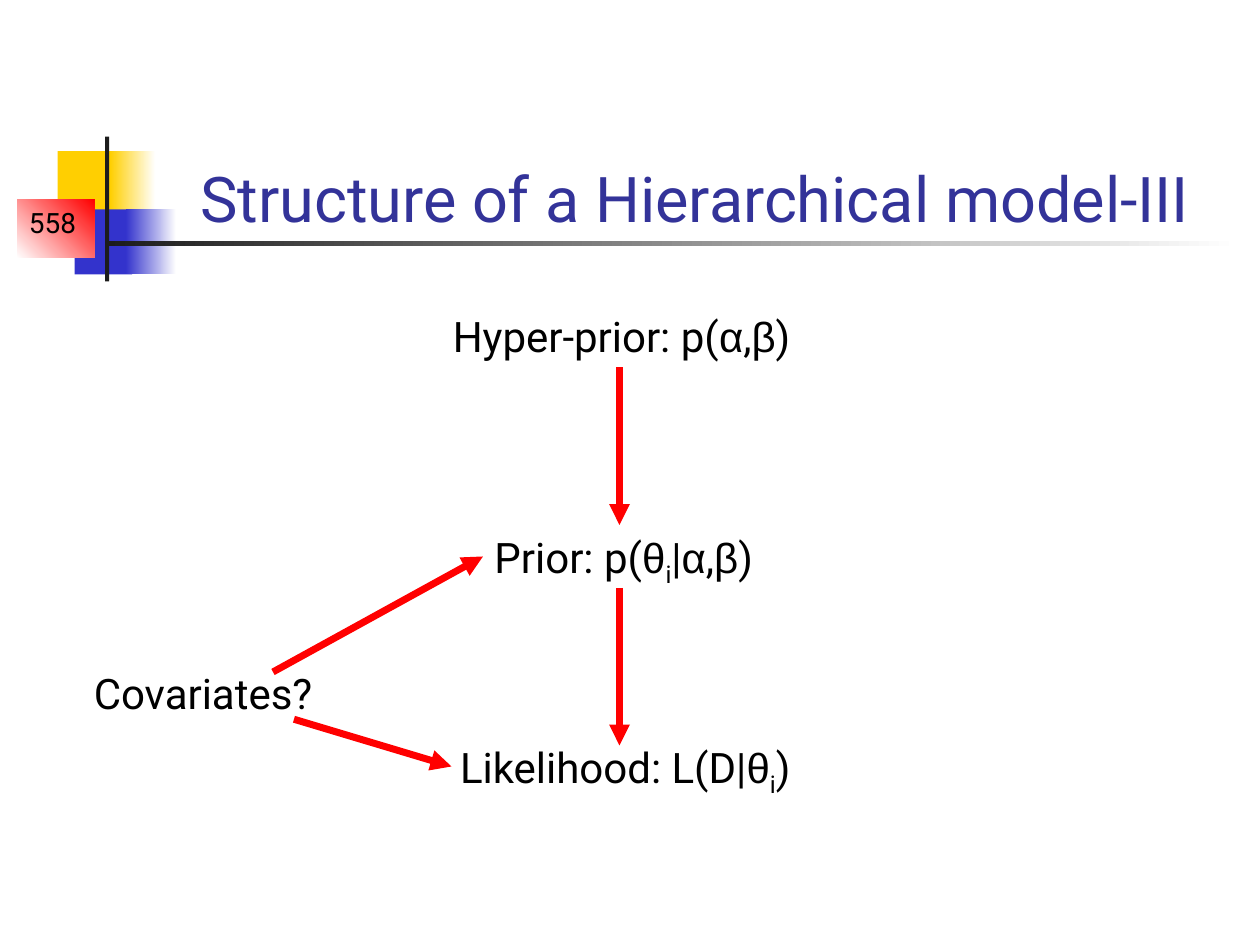
import dataclasses
import typing

import lxml.etree
import pptx
import pptx.dml.color
import pptx.enum.shapes
import pptx.enum.text
import pptx.oxml.ns
import pptx.util

# Grid of 120 columns by 90 rows
WIDE, HIGH = pptx.util.Inches(10), pptx.util.Inches(7.5)
COLS, ROWS = 120, 90
GREEK = "αβθ"
SUB = "i"


@dataclasses.dataclass
class Block:
    x: float
    y: float
    w: float
    h: float
    color: str
    fade: typing.Optional[str] = None
    angle: float = 0


@dataclasses.dataclass
class Label:
    x: float
    y: float
    w: float
    h: float
    words: tuple[str, ...]
    size: float = 24
    color: str = "000000"
    wrap: bool = False
    low: bool = False


@dataclasses.dataclass
class Arrow:
    x1: float
    y1: float
    x2: float
    y2: float


def col(n: float) -> int:
    return round(WIDE * n / COLS)


def row(n: float) -> int:
    return round(HIGH * n / ROWS)


def rgb(code: str) -> pptx.dml.color.RGBColor:
    return pptx.dml.color.RGBColor.from_string(code)


def draw_block(slide, b: Block) -> None:
    shape = slide.shapes.add_shape(
        pptx.enum.shapes.MSO_SHAPE.RECTANGLE, col(b.x), row(b.y), col(b.w), row(b.h))
    shape.shadow.inherit = False
    shape.line.fill.background()
    if b.fade is None:
        shape.fill.solid()
        shape.fill.fore_color.rgb = rgb(b.color)
        return
    shape.fill.gradient()
    shape.fill.gradient_angle = b.angle
    for stop, code in zip(shape.fill.gradient_stops, (b.color, b.fade)):
        stop.color.rgb = rgb(code)


def draw_label(slide, t: Label) -> None:
    frame = slide.shapes.add_textbox(col(t.x), row(t.y), col(t.w), row(t.h)).text_frame
    frame.word_wrap = t.wrap
    anchor = pptx.enum.text.MSO_ANCHOR
    frame.vertical_anchor = anchor.BOTTOM if t.low else anchor.TOP
    para = frame.paragraphs[0]
    para.alignment = pptx.enum.text.PP_ALIGN.CENTER
    for word in t.words:
        run = para.add_run()
        run.text = word
        run.font.size = pptx.util.Pt(t.size)
        run.font.name = "Arial" if word in GREEK else "Roboto"
        run.font.color.rgb = rgb(t.color)
        if word == SUB:
            run.font._element.set("baseline", "-25000")


def draw_arrow(slide, a: Arrow) -> None:
    line = slide.shapes.add_connector(
        pptx.enum.shapes.MSO_CONNECTOR.STRAIGHT,
        col(a.x1), row(a.y1), col(a.x2), row(a.y2))
    line.line.color.rgb = rgb("FF0000")
    line.line.width = pptx.util.Pt(4)
    qn = pptx.oxml.ns.qn
    props = line._element.spPr
    lxml.etree.SubElement(props.find(qn("a:ln")), qn("a:tailEnd"), type="triangle")
    lxml.etree.SubElement(props, qn("a:effectLst"))


# Corner ornament and title rule
BLOCKS = [
    Block(5.5, 14.4, 5.8, 6.2, "FFCF01"),
    Block(10.5, 14.4, 4.3, 6.2, "FFCF01", "FFFFFF"),
    Block(7.1, 19.95, 5.5, 6.2, "3333CC"),
    Block(12, 19.95, 4.8, 6.2, "3333CC", "FFFFFF"),
    Block(1.65, 19, 7.35, 5.55, "FFFFFF", "FF0000", 45),
    Block(10, 13, 0.4, 13.8, "1C1C1C"),
    Block(10, 23, 108, 0.45, "1C1C1C", "FFFFFF"),
]

# Slide number, title and the levels of the model
LABELS = [
    Label(0, 19, 10, 4.4, ("558",), size=16, wrap=True),
    Label(15.1, 8, 102.2, 15, ("Structure of a Hierarchical model-III",),
          size=36, color="333399", wrap=True, low=True),
    Label(40.7, 29, 37, 6, ("Hyper-prior: p(", "α", ",", "β", ")")),
    Label(44.8, 50, 29.2, 6.7, ("Prior: p(", "θ", SUB, "|", "α", ",", "β", ")")),
    Label(41.5, 70, 36.1, 6.7, ("Likelihood: L(D|", "θ", SUB, ")")),
    Label(7.4, 63, 23.9, 6, ("Covariates?",)),
]

# Links between the levels
ARROWS = [
    Arrow(59, 35, 59, 50),
    Arrow(59, 56, 59, 71),
    Arrow(26, 64, 46, 53),
    Arrow(28, 68.5, 43, 73),
]


def main() -> None:
    deck = pptx.Presentation()
    deck.slide_width, deck.slide_height = WIDE, HIGH
    slide = deck.slides.add_slide(deck.slide_layouts[6])
    for block in BLOCKS:
        draw_block(slide, block)
    for label in LABELS:
        draw_label(slide, label)
    for arrow in ARROWS:
        draw_arrow(slide, arrow)
    deck.save("out.pptx")


if __name__ == "__main__":
    main()
